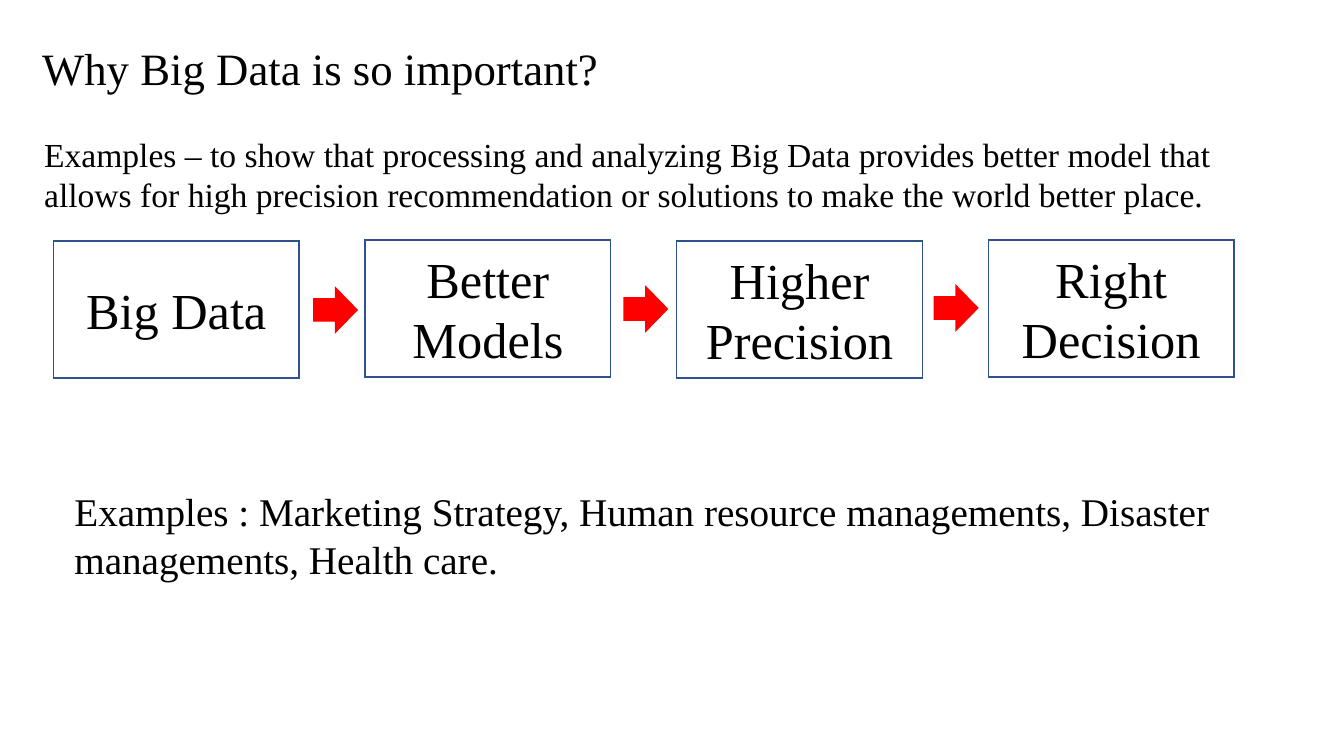
from lxml import etree
from pptx import Presentation
from pptx import util as u
from pptx.dml.color import RGBColor
from pptx.enum import shapes, text
from pptx.oxml import ns

INK = {"text": "000000", "edge": "2F528F", "arrow": "FF0000"}
FONT = "Times New Roman"
STEPS = ["Big Data", "Better Models", "Higher Precision", "Right Decision"]


def color(name):
    return RGBColor.from_string(INK[name])


def write(frame, lines, size, align):
    frame.word_wrap = True
    for i, line in enumerate(lines):
        para = frame.paragraphs[0] if i == 0 else frame.add_paragraph()
        para.alignment = align
        run = para.add_run()
        run.text = line
        run.font.name = FONT
        run.font.size = u.Pt(size)
        run.font.color.rgb = color("text")


def add_note(slide, box, lines, size):
    frame = slide.shapes.add_textbox(*map(u.Inches, box)).text_frame
    frame.auto_size = text.MSO_AUTO_SIZE.SHAPE_TO_FIT_TEXT
    write(frame, lines, size, text.PP_ALIGN.LEFT)


def add_shape(slide, kind, box, edge):
    shape = slide.shapes.add_shape(kind, *map(u.Inches, box))
    shape.shadow.inherit = False
    shape.line.color.rgb = color(edge)
    shape.line.width = u.Pt(1)
    line = shape.element.spPr.find(ns.qn("a:ln"))
    etree.SubElement(line, ns.qn("a:miter"), lim="800000")
    return shape


def add_step(slide, box, label):
    shape = add_shape(slide, shapes.MSO_SHAPE.RECTANGLE, box, "edge")
    shape.fill.background()
    frame = shape.text_frame
    frame.vertical_anchor = text.MSO_ANCHOR.MIDDLE
    write(frame, [label], 36, text.PP_ALIGN.CENTER)


def add_arrow(slide, box):
    shape = add_shape(slide, shapes.MSO_SHAPE.DOWN_ARROW, box, "arrow")
    shape.rotation = 270
    shape.fill.solid()
    shape.fill.fore_color.rgb = color("arrow")


def add_flow(slide, box):
    left, top, width, height = box
    wide = 2.44
    pitch = (width - wide) / (len(STEPS) - 1)
    for i, label in enumerate(STEPS):
        drop = 0.01 if i % 2 == 0 else 0
        add_step(slide, (left + i * pitch, top + drop, wide, height), label)
    for i in range(len(STEPS) - 1):
        add_arrow(slide, (left + 2.58 + i * 3.08, top + 0.48 - i * 0.01, 0.44, 0.43))


def main():
    deck = Presentation()
    deck.slide_width = u.Inches(13.34)
    deck.slide_height = u.Inches(7.5)
    slide = deck.slides.add_slide(deck.slide_layouts[6])
    add_note(slide, (0.32, 0.36, 5.9, 0.64), ["Why Big Data is so important?"], 32)
    add_note(slide, (0.34, 1.28, 11.9, 0.9), [
        "Examples – to show that processing and analyzing Big Data provides better model that",
        "allows for high precision recommendation or solutions to make the world better place.",
    ], 24)
    add_flow(slide, (0.53, 2.38, 11.72, 1.36))
    add_note(slide, (0.64, 4.79, 11.72, 1.04), [
        "Examples : Marketing Strategy, Human resource managements, "
        "Disaster managements, Health care.",
    ], 28)
    deck.save("out.pptx")


if __name__ == "__main__":
    main()
